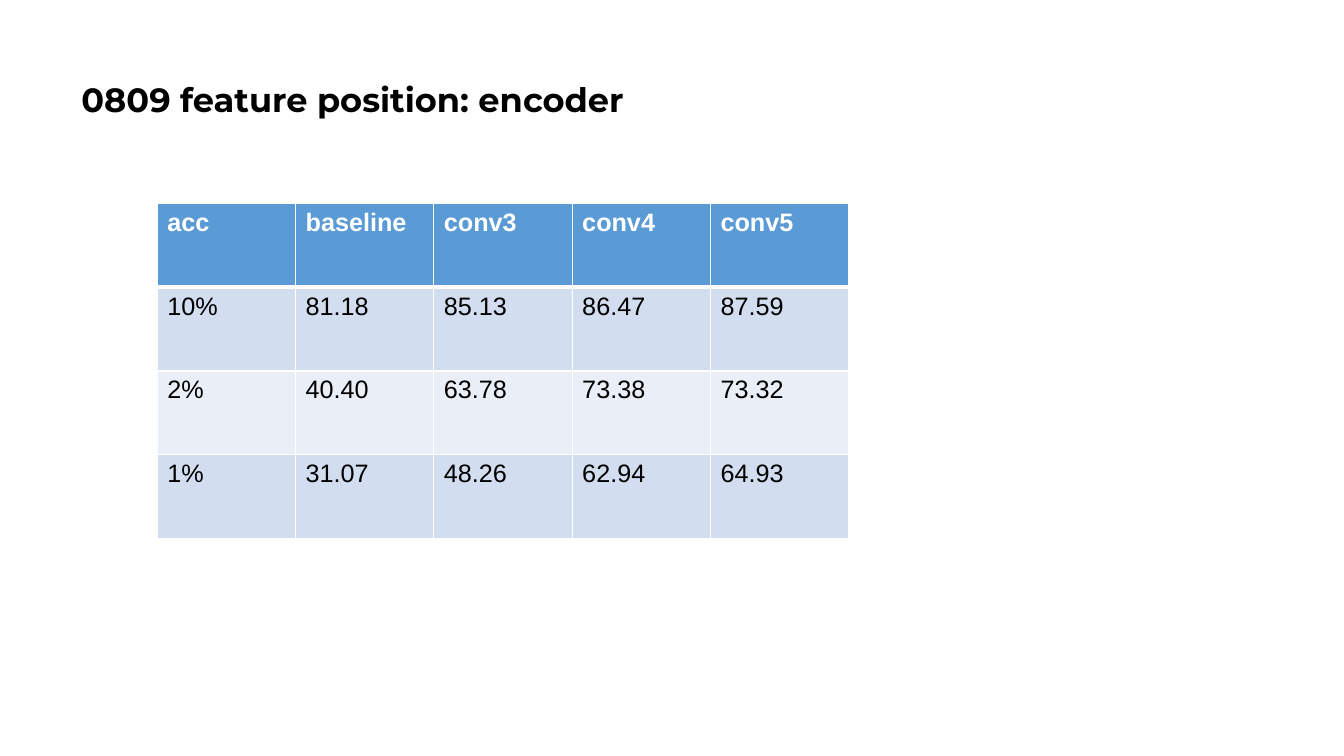
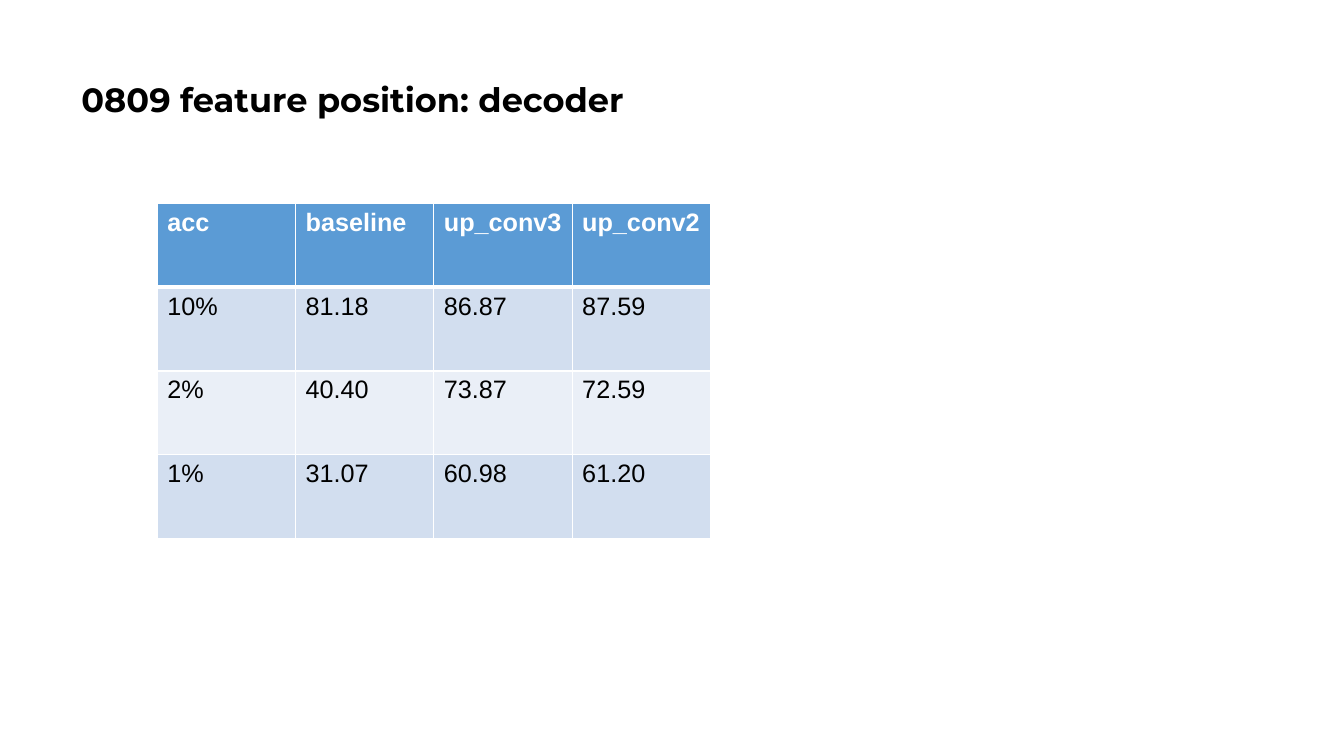
from lxml.etree import SubElement
from pptx import Presentation
from pptx.dml.color import RGBColor
from pptx.enum.text import MSO_ANCHOR
from pptx.oxml.ns import qn
from pptx.util import Inches, Pt

HUES = {"ink": "000000", "paper": "FFFFFF", "head": "5B9BD5",
        "odd": "D2DEEF", "even": "EAEFF7"}
FONTS = {
    "title": {"name": "Montserrat", "size": Pt(24), "bold": True},
    "head": {"name": "Arial", "size": Pt(18), "bold": True},
    "body": {"name": "Arial", "size": Pt(18), "bold": False},
}
TITLE = (0.71, 0.28, 11.5, 1.45)
GRID = (1.56, 2.02, 6.86, 3.32)
COLS = 5

PAGES = [
    ("0809 feature position: encoder", [
        ["acc", "baseline", "conv3", "conv4", "conv5"],
        ["10%", "81.18", "85.13", "86.47", "87.59"],
        ["2%", "40.40", "63.78", "73.38", "73.32"],
        ["1%", "31.07", "48.26", "62.94", "64.93"],
    ]),
    ("0809 feature position: decoder", [
        ["acc", "baseline", "up_conv3", "up_conv2"],
        ["10%", "81.18", "86.87", "87.59"],
        ["2%", "40.40", "73.87", "72.59"],
        ["1%", "31.07", "60.98", "61.20"],
    ]),
]


def color(key):
    return RGBColor.from_string(HUES[key])


def style(font, kind, hue):
    for name, value in FONTS[kind].items():
        setattr(font, name, value)
    font.color.rgb = color(hue)


def add_title(slide, text, box):
    frame = slide.shapes.add_textbox(*map(Inches, box)).text_frame
    frame.word_wrap = True
    frame.vertical_anchor = MSO_ANCHOR.MIDDLE
    para = frame.paragraphs[0]
    para.text = text
    para.line_spacing = 0.9
    style(para.font, "title", "ink")


def add_edges(cell, widths):
    props = cell._tc.get_or_add_tcPr()
    for side, width in widths.items():
        line = SubElement(props, qn(f"a:ln{side}"), w=str(Pt(width)))
        fill = SubElement(line, qn("a:solidFill"))
        SubElement(fill, qn("a:srgbClr"), val=HUES["paper"])


def fill_cell(cell, text, row):
    add_edges(cell, {"L": 1, "R": 1, "T": 3 if row == 1 else 1,
                     "B": 3 if row == 0 else 1})
    cell.fill.solid()
    band = "head" if row == 0 else "odd" if row % 2 else "even"
    cell.fill.fore_color.rgb = color(band)
    para = cell.text_frame.paragraphs[0]
    para.text = text
    if row == 0:
        style(para.font, "head", "paper")
    else:
        style(para.font, "body", "ink")


def add_grid(slide, rows, box):
    left, top, width, height = map(Inches, box)
    step = width // COLS
    count = len(rows[0])
    table = slide.shapes.add_table(
        len(rows), count, left, top, step * count, height).table
    for col in table.columns:
        col.width = step
    for i, row in enumerate(rows):
        for j, text in enumerate(row):
            fill_cell(table.cell(i, j), text, i)


def main():
    deck = Presentation()
    deck.slide_width, deck.slide_height = Inches(13.33), Inches(7.5)
    for title, rows in PAGES:
        slide = deck.slides.add_slide(deck.slide_layouts[6])
        add_title(slide, title, TITLE)
        add_grid(slide, rows, GRID)
    deck.save("out.pptx")


if __name__ == "__main__":
    main()
